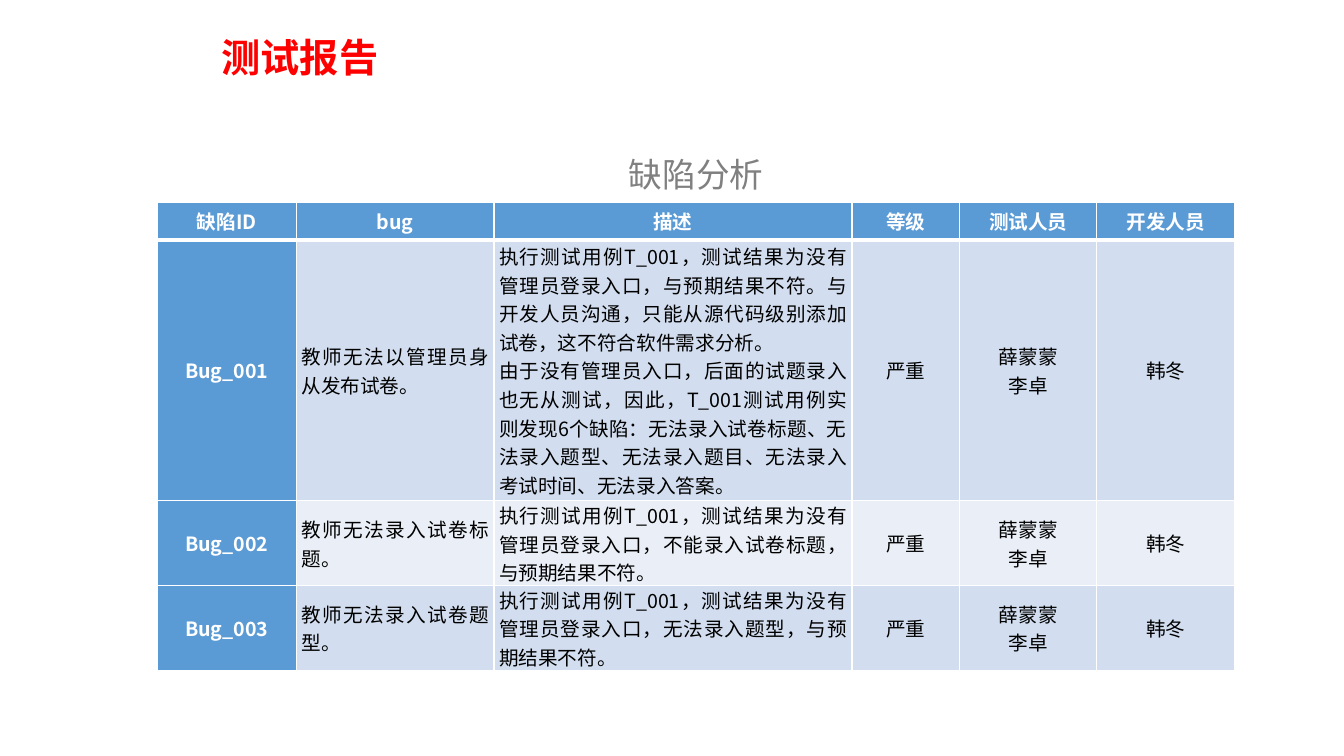
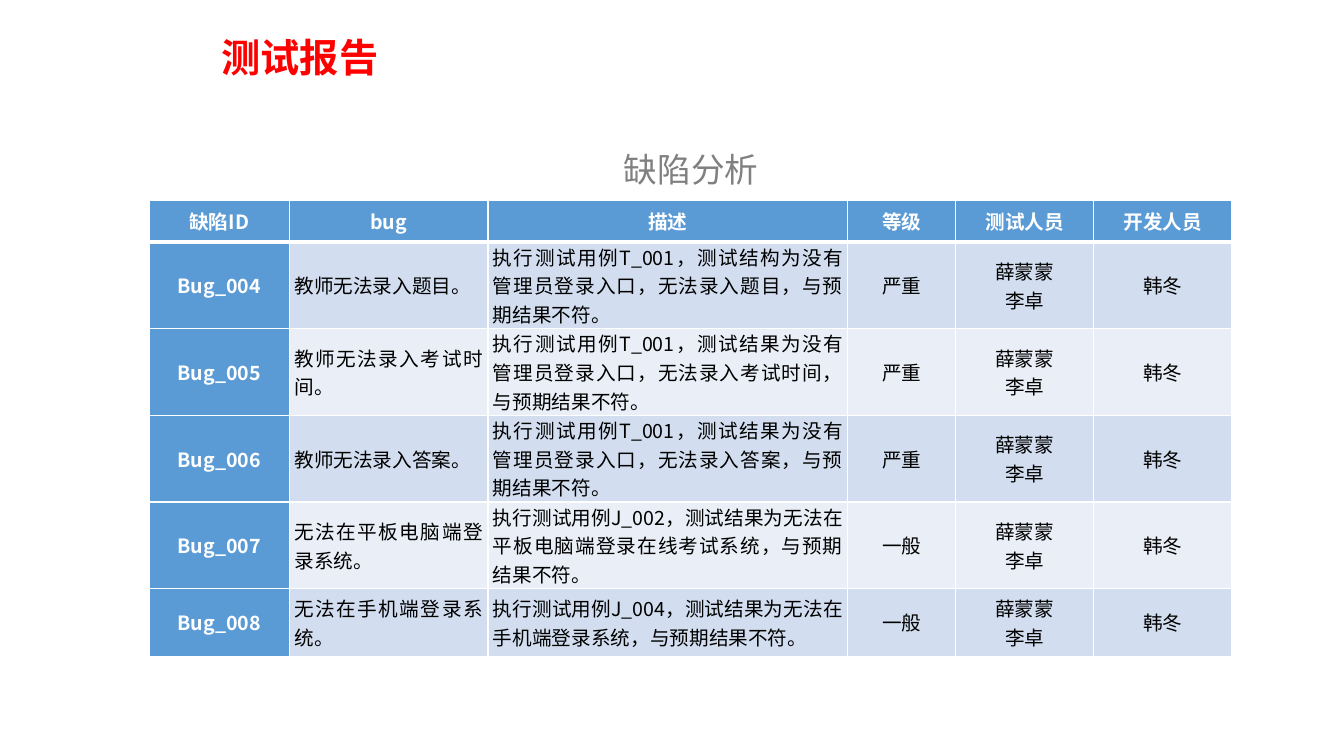
from dataclasses import dataclass

from lxml import etree
from pptx import Presentation, util as u
from pptx.dml.color import RGBColor
from pptx.enum import text
from pptx.oxml import ns


@dataclass(frozen=True)
class Theme:
    """Colours, font and type sizes shared by the slides."""
    font: str = "Noto Sans CJK SC"
    title: str = "FF0000"
    subtitle: str = "808080"
    accent: str = "5B9BD5"
    bands: tuple = ("D2DEEF", "EAEFF7")
    ink: str = "000000"
    white: str = "FFFFFF"
    title_size: int = 28
    subtitle_size: int = 24
    table_size: int = 14
    thin: int = 1
    thick: int = 3


THEME = Theme()
PX_PER_INCH = 100
CENTER, JUSTIFY = text.PP_ALIGN.CENTER, text.PP_ALIGN.JUSTIFY
HEADERS = ("缺陷ID", "bug", "描述", "等级", "测试人员", "开发人员")
ALIGNMENTS = (CENTER, JUSTIFY, JUSTIFY, CENTER, CENTER, CENTER)
TESTERS, DEVELOPER = "薛蒙蒙\n李卓", "韩冬"
CASE = "执行测试用例"
NO_ENTRY = CASE + "T_001，测试结果为没有管理员登录入口，"
MISMATCH = "与预期结果不符。"

REPORTS = (
    dict(
        subtitle_at=(614, 128),
        table_at=(156, 201),
        columns=(138, 196, 355, 107, 136, 137),
        heights=(37, 259, 84, 84),
        defects=(
            ("Bug_001", "教师无法以管理员身从发布试卷。",
             NO_ENTRY + MISMATCH + "与开发人员沟通，只能从源代码级别添加试卷，这不符合软件需求分析。\n"
             "由于没有管理员入口，后面的试题录入也无从测试，因此，T_001测试用例实则发现6个缺陷："
             "无法录入试卷标题、无法录入题型、无法录入题目、无法录入考试时间、无法录入答案。", "严重"),
            ("Bug_002", "教师无法录入试卷标题。", NO_ENTRY + "不能录入试卷标题，" + MISMATCH, "严重"),
            ("Bug_003", "教师无法录入试卷题型。", NO_ENTRY + "无法录入题型，" + MISMATCH, "严重"),
        ),
    ),
    dict(
        subtitle_at=(609, 123),
        table_at=(148, 199),
        columns=(139, 197, 357, 107, 137, 137),
        heights=(41, 86, 86, 86, 86, 67),
        defects=(
            ("Bug_004", "教师无法录入题目。",
             CASE + "T_001，测试结构为没有管理员登录入口，无法录入题目，" + MISMATCH, "严重"),
            ("Bug_005", "教师无法录入考试时间。", NO_ENTRY + "无法录入考试时间，" + MISMATCH, "严重"),
            ("Bug_006", "教师无法录入答案。", NO_ENTRY + "无法录入答案，" + MISMATCH, "严重"),
            ("Bug_007", "无法在平板电脑端登录系统。",
             CASE + "J_002，测试结果为无法在平板电脑端登录在线考试系统，" + MISMATCH, "一般"),
            ("Bug_008", "无法在手机端登录系统。",
             CASE + "J_004，测试结果为无法在手机端登录系统，" + MISMATCH, "一般"),
        ),
    ),
)


def px(length):
    """Turn whole px into EMU."""
    return u.Emu(length * u.Inches(1) // PX_PER_INCH)


def write_text(frame, content, *, size, color, bold=False, align=None, spacing=None):
    """Fill a text frame with formatted paragraphs, one for each line."""
    frame.word_wrap = True
    frame.text = content
    for paragraph in frame.paragraphs:
        paragraph.alignment = align
        paragraph.line_spacing = spacing
        for run in paragraph.runs:
            font = run.font
            font.size, font.bold, font.name = u.Pt(size), bold, THEME.font
            font.color.rgb = RGBColor.from_string(color)
            east_asian = etree.SubElement(run._r.get_or_add_rPr(), ns.qn("a:ea"))
            east_asian.set("typeface", THEME.font)


def add_label(slide, content, box, *, anchor=text.MSO_ANCHOR.TOP, **style):
    """Add a text box with one style."""
    frame = slide.shapes.add_textbox(*map(px, box)).text_frame
    frame.vertical_anchor = anchor
    write_text(frame, content, **style)


def set_borders(cell, **widths):
    """Draw white borders on a cell, thin unless a width is given."""
    properties = cell._tc.get_or_add_tcPr()
    for side in "LRTB":
        line = etree.SubElement(properties, ns.qn(f"a:ln{side}"))
        line.set("w", str(u.Pt(widths.get(side, THEME.thin))))
        fill = etree.SubElement(line, ns.qn("a:solidFill"))
        etree.SubElement(fill, ns.qn("a:srgbClr")).set("val", THEME.white)


def format_cell(cell, content, *, fill, borders, **style):
    """Set the text, margins, borders and fill of a cell."""
    cell.margin_left = cell.margin_right = px(5)
    cell.margin_top = cell.margin_bottom = 0
    cell.vertical_anchor = text.MSO_ANCHOR.MIDDLE
    set_borders(cell, **borders)
    cell.fill.solid()
    cell.fill.fore_color.rgb = RGBColor.from_string(fill)
    write_text(cell.text_frame, content, size=THEME.table_size, **style)


def add_defect_table(slide, position, columns, heights, defects):
    """Add the defect table with its header row and banded body."""
    rows = [HEADERS] + [(*defect, TESTERS, DEVELOPER) for defect in defects]
    box = (*position, sum(columns), sum(heights))
    table = slide.shapes.add_table(len(rows), len(columns), *map(px, box)).table
    table.first_row = table.horz_banding = False
    for column, width in zip(table.columns, columns):
        column.width = px(width)
    for row, height in zip(table.rows, heights):
        row.height = px(height)
    header_rule = {0: {"B": THEME.thick}, 1: {"T": THEME.thick}}
    for row_index, values in enumerate(rows):
        for column_index, value in enumerate(values):
            heading = row_index == 0 or column_index == 0
            format_cell(
                table.cell(row_index, column_index), value,
                fill=THEME.accent if heading else THEME.bands[(row_index - 1) % 2],
                borders=header_rule.get(row_index, {}),
                color=THEME.white if heading else THEME.ink,
                bold=heading,
                align=CENTER if heading else ALIGNMENTS[column_index])


def add_report_slide(presentation, subtitle_at, table_at, columns, heights, defects):
    """Add one slide of the test report."""
    slide = presentation.slides.add_slide(presentation.slide_layouts[6])
    add_label(slide, "测试报告", (210, 30, 1003, 58), anchor=text.MSO_ANCHOR.MIDDLE,
              size=THEME.title_size, color=THEME.title, bold=True, spacing=0.9)
    add_label(slide, "缺陷分析", (*subtitle_at, 186, 80),
              size=THEME.subtitle_size, color=THEME.subtitle, spacing=1.5)
    add_defect_table(slide, table_at, columns, heights, defects)


def main():
    """Build the presentation and save it."""
    presentation = Presentation()
    presentation.slide_width, presentation.slide_height = px(1333), px(750)
    for report in REPORTS:
        add_report_slide(presentation, **report)
    presentation.save("out.pptx")


if __name__ == "__main__":
    main()
